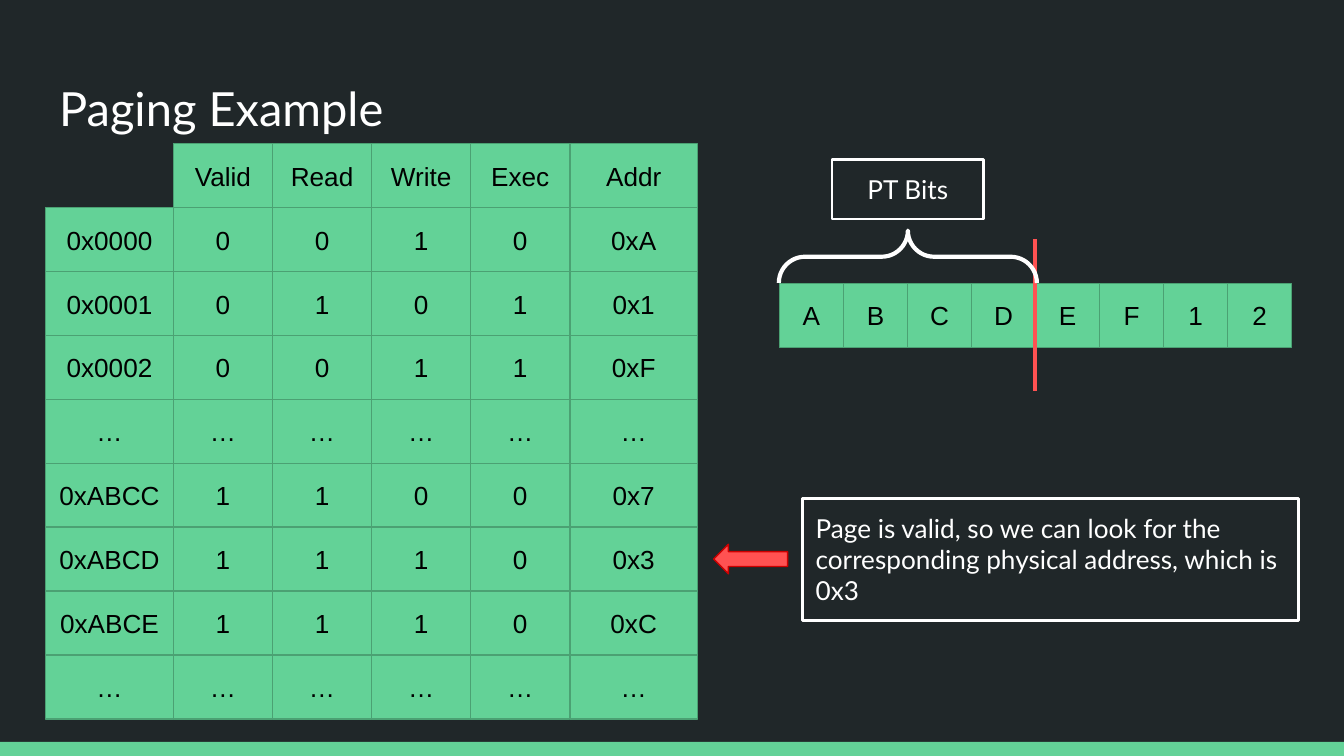
from dataclasses import dataclass
from itertools import accumulate

from lxml.etree import SubElement
from pptx import Presentation
from pptx.dml.color import RGBColor
from pptx.enum.shapes import MSO_CONNECTOR, MSO_SHAPE
from pptx.enum.text import MSO_ANCHOR, MSO_AUTO_SIZE, PP_ALIGN
from pptx.oxml.ns import qn
from pptx.util import Inches, Pt


@dataclass(frozen=True)
class Theme:
    """Colours, fonts and type sizes of the deck."""

    background: str = "202729"
    green: str = "63D297"
    green_edge: str = "4BA173"
    red: str = "FF5252"
    red_edge: str = "CC0000"
    white: str = "FFFFFF"
    black: str = "000000"
    heading_font: str = "Lato"
    cell_font: str = "Arial"
    title_size: float = 25.2
    body_size: float = 14


def rgb(color):
    """Turn a hex string into a colour."""
    return RGBColor.from_string(color)


def write(tf, text, *, font, size, color, align=PP_ALIGN.LEFT, anchor=MSO_ANCHOR.TOP, wrap=True):
    """Fill a text frame with one formatted paragraph."""
    tf.auto_size = MSO_AUTO_SIZE.NONE
    tf.word_wrap = wrap
    tf.vertical_anchor = anchor
    tf.margin_left = tf.margin_right = tf.margin_top = tf.margin_bottom = Inches(0.1)
    p = tf.paragraphs[0]
    p.alignment = align
    r = p.add_run()
    r.text = text
    r.font.name = font
    r.font.size = Pt(size)
    r.font.color.rgb = rgb(color)


class Builder:
    """Draws styled elements on the current slide."""

    def __init__(self, s, theme):
        """Keep the slide and theme and paint the background."""
        self.s, self.theme = s, theme
        s.background.fill.solid()
        s.background.fill.fore_color.rgb = rgb(theme.background)

    def title(self, text, x, y, w, h):
        """Place the title placeholder."""
        sp = self.s.shapes.title
        sp.left, sp.top, sp.width, sp.height = map(Inches, (x, y, w, h))
        t = self.theme
        write(sp.text_frame, text, font=t.heading_font, size=t.title_size, color=t.white)

    def shape(self, kind, x, y, w, h, fill=None, line=None, weight=0.75):
        """Add a preset shape with optional fill and outline."""
        sp = self.s.shapes.add_shape(kind, *map(Inches, (x, y, w, h)))
        sp.shadow.inherit = False
        if fill:
            sp.fill.solid()
            sp.fill.fore_color.rgb = rgb(fill)
        else:
            sp.fill.background()
        if line:
            sp.line.color.rgb = rgb(line)
            sp.line.width = Pt(weight)
        else:
            sp.line.fill.background()
        return sp

    def footer_bar(self, x, y, w, h):
        """Put a green bar on the slide master."""
        bar = self.shape(MSO_SHAPE.RECTANGLE, x, y, w, h, self.theme.green)
        self.s.slide_layout.slide_master.element.cSld.spTree.append(bar.element)

    def cell(self, text, x, y, w, h):
        """Add one green cell with centred text."""
        t = self.theme
        sp = self.shape(MSO_SHAPE.RECTANGLE, x, y, w, h, t.green, t.green_edge)
        write(sp.text_frame, text, font=t.cell_font, size=t.body_size, color=t.black,
              align=PP_ALIGN.CENTER, anchor=MSO_ANCHOR.MIDDLE, wrap=False)

    def grid(self, rows, x, y, widths, row_height):
        """Add rows of cells, skipping the empty ones."""
        lefts = list(accumulate(widths[:-1], initial=x))
        for i, row in enumerate(rows):
            for text, left, w in zip(row, lefts, widths):
                if text:
                    self.cell(text, left, y + i * row_height, w, row_height)

    def note(self, text, x, y, w, h, align=PP_ALIGN.LEFT):
        """Add an outlined box of text."""
        t = self.theme
        sp = self.shape(MSO_SHAPE.RECTANGLE, x, y, w, h, line=t.white, weight=1.5)
        write(sp.text_frame, text, font=t.heading_font, size=t.body_size, color=t.white, align=align)

    def divider(self, x, top, bottom):
        """Add a vertical red line."""
        line = self.s.shapes.add_connector(
            MSO_CONNECTOR.STRAIGHT, *map(Inches, (x, top, x, bottom)))
        line.line.color.rgb = rgb(self.theme.red)
        line.line.width = Pt(2.25)
        SubElement(line.element.spPr, qn("a:effectLst"))

    def brace(self, x, y, w, h):
        """Add a right brace turned to point upwards."""
        sp = self.shape(MSO_SHAPE.RIGHT_BRACE, x, y, w, h, line=self.theme.white, weight=2.25)
        sp.adjustments[0] = sp.adjustments[1] = 0.5
        sp.rotation = 270


PAGE_TABLE = [
    ("", "Valid", "Read", "Write", "Exec", "Addr"),
    ("0x0000", "0", "0", "1", "0", "0xA"),
    ("0x0001", "0", "1", "0", "1", "0x1"),
    ("0x0002", "0", "0", "1", "1", "0xF"),
    ("…",) * 6,
    ("0xABCC", "1", "1", "0", "0", "0x7"),
    ("0xABCD", "1", "1", "1", "0", "0x3"),
    ("0xABCE", "1", "1", "1", "0", "0xC"),
    ("…",) * 6,
]
ADDRESS = "ABCDEF12"


def main():
    """Build and save the slide."""
    prs = Presentation()
    prs.slide_width, prs.slide_height = Inches(10), Inches(10 * 9 / 16)
    theme = Theme()
    b = Builder(prs.slides.add_slide(prs.slide_layouts[5]), theme)

    b.footer_bar(0, 5.52, 10, 0.11)
    b.title("Paging Example", 0.34, 0.49, 9.32, 0.63)

    row_height = 4.28 / len(PAGE_TABLE)
    flag_width = 2.95 / 4
    b.grid(PAGE_TABLE, 0.34, 1.07, [0.95] + [flag_width] * 4 + [0.95], row_height)

    bit_width = 3.81 / len(ADDRESS)
    b.grid([ADDRESS], 5.8, 2.11, [bit_width] * len(ADDRESS), row_height)
    b.divider(7.7, 1.78, 2.91)
    b.brace(6.56, 0.95, 0.39, 1.92)
    b.note("PT Bits", 6.19, 1.19, 1.13, 0.44, PP_ALIGN.CENTER)

    b.shape(MSO_SHAPE.LEFT_ARROW, 5.31, 4.05, 0.55, 0.22, theme.red, theme.red_edge)
    b.note("Page is valid, so we can look for the corresponding physical address, which is 0x3",
           5.97, 3.71, 3.69, 0.91)
    prs.save("out.pptx")


if __name__ == "__main__":
    main()
